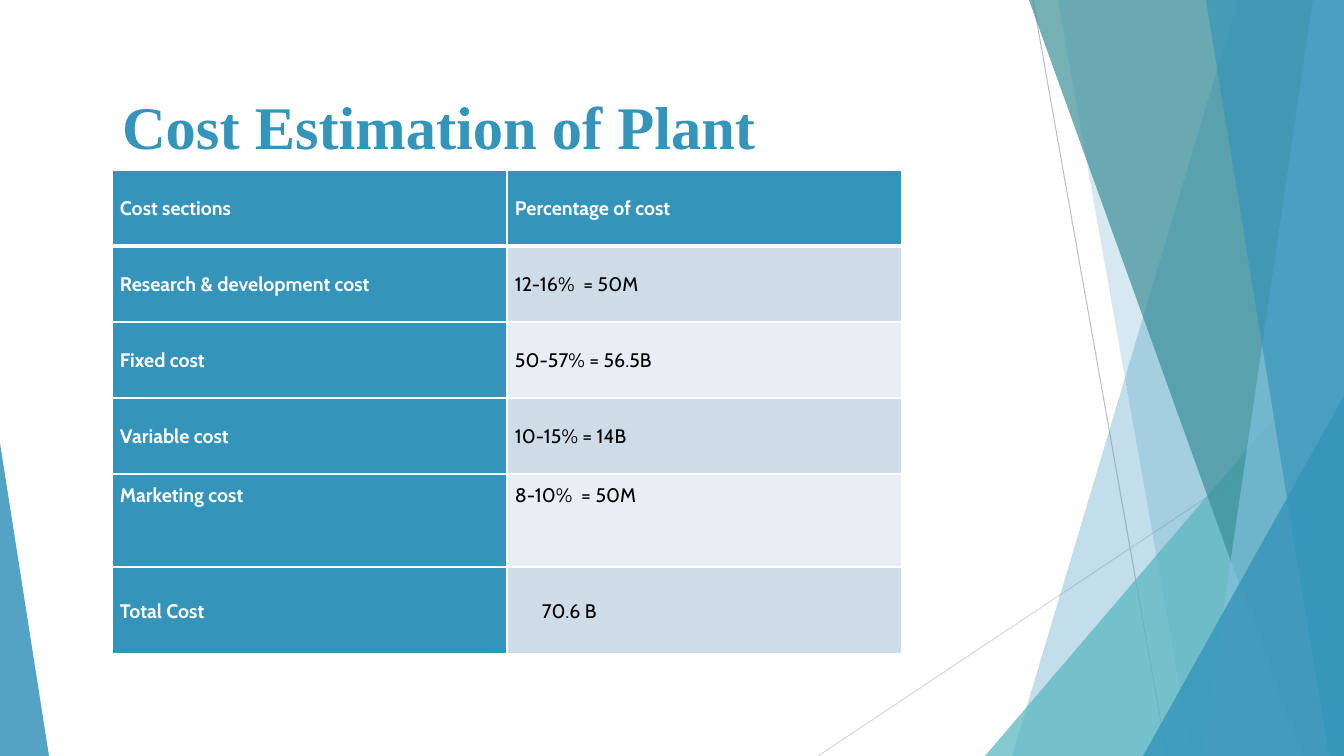
import dataclasses

import pptx
import pptx.dml.color
import pptx.enum.shapes
import pptx.enum.text
import pptx.oxml
import pptx.oxml.ns
import pptx.util

EMU_PER_PX = 914400 / 100.8
PAGE_WIDTH, PAGE_HEIGHT = 1344, 756


@dataclasses.dataclass(frozen=True)
class Theme:
    blue: str = "3494BA"
    aqua: str = "58B6C0"
    teal: str = "3A8F98"
    sky: str = "7FC1DB"
    white: str = "FFFFFF"
    black: str = "000000"
    bands: tuple = ("CEDCE7", "E8EEF3")
    dark_line: str = "BFBFBF"
    pale_line: str = "D9D9D9"
    title_font: str = "Times New Roman"
    body_font: str = "Cabin"
    title_size: float = 43.2
    body_size: int = 14


THEME = Theme()

COST_ROWS = [
    ("Cost sections", "Percentage of cost"),
    ("Research & development cost", "12-16%  = 50M"),
    ("Fixed cost", "50-57% = 56.5B"),
    ("Variable cost", "10-15% = 14B"),
    ("Marketing cost", "8-10%  = 50M"),
    ("Total Cost", "70.6 B"),
]
ROW_HEIGHTS = [76, 76, 76, 76, 93, 87]
MARKETING_ROW, TOTAL_ROW = 4, 5


def px(length):
    return pptx.util.Emu(round(length * EMU_PER_PX))


def rgb(colour):
    return pptx.dml.color.RGBColor.from_string(colour)


def xml(text):
    return pptx.oxml.parse_xml(text.replace(">", f' {pptx.oxml.ns.nsdecls("a")}>', 1)
                               if not text.split(">", 1)[0].endswith("/")
                               else text.replace("/>", f' {pptx.oxml.ns.nsdecls("a")}/>', 1))


def paint(shape, colour, opacity):
    """Fill a shape with a see-through colour and no outline."""
    shape.shadow.inherit = False
    shape.line.fill.background()
    shape.fill.solid()
    shape.fill.fore_color.rgb = rgb(colour)
    tint = shape.element.spPr.find(".//" + pptx.oxml.ns.qn("a:srgbClr"))
    tint.append(xml(f'<a:alpha val="{opacity * 1000}"/>'))


def add_thin_line(page, start, end, colour):
    line = page.shapes.add_connector(
        pptx.enum.shapes.MSO_CONNECTOR.STRAIGHT, *map(px, start + end))
    line.line.color.rgb = rgb(colour)
    line.line.width = pptx.util.Pt(0.75)
    line.element.spPr.append(xml("<a:effectLst/>"))


def add_panel(page, box, top_x, bottom_x, colour, opacity):
    """Slanted panel that reaches the right edge of the box."""
    left, top, width, height = box
    right, bottom = left + width, top + height
    outline = page.shapes.build_freeform(left + top_x, top, scale=EMU_PER_PX)
    outline.add_line_segments(
        [(right, top), (right, bottom), (left + bottom_x, bottom)], close=True)
    paint(outline.convert_to_shape(), colour, opacity)


def add_corner(page, box, apex, colour, opacity):
    corner = page.shapes.add_shape(
        pptx.enum.shapes.MSO_SHAPE.ISOSCELES_TRIANGLE, *map(px, box))
    corner.adjustments[0] = apex
    paint(corner, colour, opacity)


def add_right_decoration(page, box):
    left, top, width, height = box

    def right_corner(x, y, colour, opacity):
        add_corner(page, (left + x, top + y, width - x, height - y), 1, colour, opacity)

    # Thin lines behind the panels
    add_thin_line(page, (left + 215, top), (left + 349, top + height), THEME.dark_line)
    add_thin_line(page, (left + width, top + 406), (left, top + height), THEME.pale_line)
    # Overlapping panels, back to front
    add_panel(page, box, 420, 194, THEME.blue, 30)
    add_panel(page, box, 240, 374, THEME.blue, 20)
    right_corner(167, 336, THEME.aqua, 72)
    add_panel(page, box, 211, 483, THEME.teal, 70)
    add_panel(page, box, 495, 384, THEME.sky, 70)
    add_panel(page, box, 388, 511, THEME.blue, 65)
    right_corner(325, 396, THEME.blue, 80)


def format_text(para, font_name, size, colour, bold):
    para.alignment = pptx.enum.text.PP_ALIGN.LEFT
    para.font.name = font_name
    para.font.size = pptx.util.Pt(size)
    para.font.bold = bold
    para.font.color.rgb = rgb(colour)


def place_title(page, box, text):
    title = page.shapes.title
    title.left, title.top, title.width, title.height = map(px, box)
    title.element.getparent().append(title.element)  # bring in front of the panels
    frame = title.text_frame
    frame.text = text
    frame.word_wrap = True
    frame.auto_size = pptx.enum.text.MSO_AUTO_SIZE.NONE
    frame.vertical_anchor = pptx.enum.text.MSO_ANCHOR.TOP
    frame.margin_top = px(12)
    format_text(frame.paragraphs[0], THEME.title_font, THEME.title_size, THEME.blue, True)


def set_borders(cell, top_width, bottom_width):
    sides = {"lnL": 1, "lnR": 1, "lnT": top_width, "lnB": bottom_width}
    properties = cell._tc.get_or_add_tcPr()
    for position, (side, points) in enumerate(sides.items()):
        properties.insert(position, xml(
            f'<a:{side} w="{pptx.util.Pt(points)}"><a:solidFill>'
            f'<a:srgbClr val="{THEME.white}"/></a:solidFill></a:{side}>'))


def add_cost_table(page, box):
    left, top, width, height = box
    table = page.shapes.add_table(
        len(COST_ROWS), 2, px(left), px(top), px(width), px(height)).table
    for column in table.columns:
        column.width = px(width / 2)
    for row, row_height in zip(table.rows, ROW_HEIGHTS):
        row.height = px(row_height)

    for row_index, texts in enumerate(COST_ROWS):
        for column_index, text in enumerate(texts):
            cell = table.cell(row_index, column_index)
            is_heading = row_index == 0 or column_index == 0
            is_total = row_index == TOTAL_ROW and column_index == 1
            cell.text = text
            cell.margin_top = cell.margin_right = cell.margin_bottom = px(8)
            cell.margin_left = px(35 if is_total else 8)
            cell.vertical_anchor = (
                pptx.enum.text.MSO_ANCHOR.TOP if row_index == MARKETING_ROW
                else pptx.enum.text.MSO_ANCHOR.MIDDLE)
            cell.fill.solid()
            cell.fill.fore_color.rgb = rgb(
                THEME.blue if is_heading else THEME.bands[(row_index - 1) % 2])
            para = cell.text_frame.paragraphs[0]
            para.line_spacing = 1.07
            format_text(para, THEME.body_font, THEME.body_size,
                        THEME.white if is_heading else THEME.black, is_heading)
            set_borders(cell, 3 if row_index == 1 else 1, 3 if row_index == 0 else 1)


def build_cost_page(deck):
    page = deck.slides.add_slide(deck.slide_layouts.get_by_name("Title Only"))
    add_right_decoration(page, (818, 0, PAGE_WIDTH - 818, PAGE_HEIGHT))
    add_corner(page, (0, 443, 49, PAGE_HEIGHT - 443), 0, THEME.blue, 85)
    place_title(page, (112, 77, 948, 145), "Cost Estimation of Plant")
    add_cost_table(page, (112, 170, 790, sum(ROW_HEIGHTS)))


def main():
    deck = pptx.Presentation()
    deck.slide_width, deck.slide_height = px(PAGE_WIDTH), px(PAGE_HEIGHT)
    build_cost_page(deck)
    deck.save("out.pptx")


if __name__ == "__main__":
    main()
